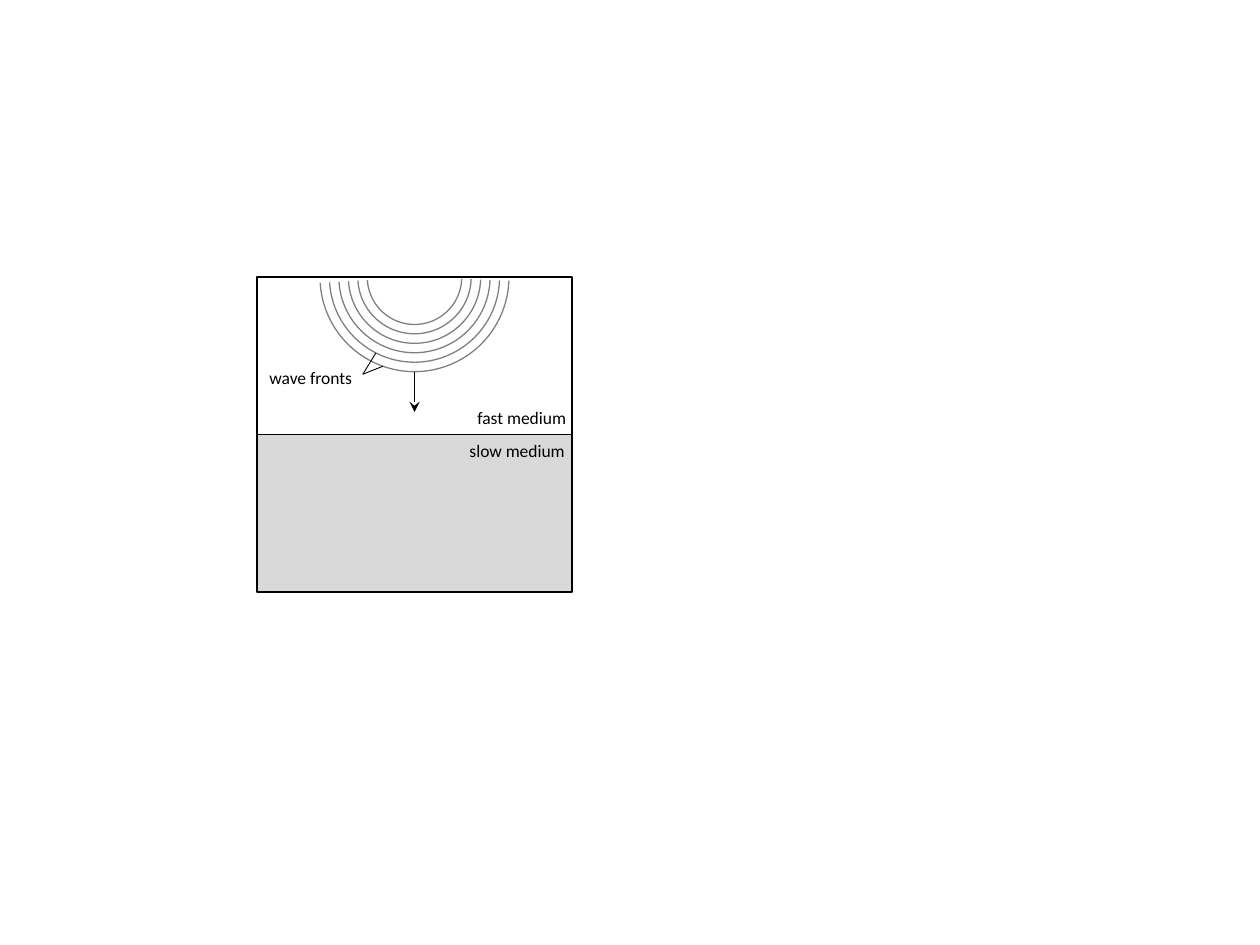
import math
from dataclasses import dataclass

import lxml.etree
import pptx
import pptx.dml.color
import pptx.enum.shapes
import pptx.enum.text
import pptx.oxml.ns
import pptx.util

Inches = pptx.util.Inches
SHAPES = pptx.enum.shapes.MSO_SHAPE
ALIGN = pptx.enum.text.PP_ALIGN


@dataclass(frozen=True)
class Theme:
    font: str = "Calibri"
    label_size: float = 10
    ink: str = "000000"
    wave: str = "808080"
    slow_fill: str = "D9D9D9"
    frame_width: float = 1
    wave_width: float = 0.75
    thin_width: float = 0.5


def rgb(code):
    return pptx.dml.color.RGBColor.from_string(code)


class Diagram:
    """Holds the theme and the slide being drawn."""

    def __init__(self, slide, theme):
        self.slide = slide
        self.theme = theme

    def outline(self, shape, color, width):
        shape.line.color.rgb = rgb(color)
        shape.line.width = pptx.util.Pt(width)

    def rectangle(self, left, top, width, height, fill=None, line=None):
        box = self.slide.shapes.add_shape(
            SHAPES.RECTANGLE, Inches(left), Inches(top), Inches(width), Inches(height))
        box.shadow.inherit = False
        if fill:
            box.fill.solid()
            box.fill.fore_color.rgb = rgb(fill)
        else:
            box.fill.background()
        if line:
            self.outline(box, line, self.theme.frame_width)
        else:
            box.line.fill.background()
        return box

    def wave_front(self, group, center_x, center_y, radius, start, end):
        """Draw an arc clockwise between two angles in degrees."""
        arc = group.shapes.add_shape(
            SHAPES.ARC, Inches(center_x - radius), Inches(center_y - radius),
            Inches(2 * radius), Inches(2 * radius))
        arc.shadow.inherit = False
        arc.fill.background()
        # Angles are stored in 60000ths of a degree, adjustments in 100000ths
        arc.adjustments[0] = start * 0.6
        arc.adjustments[1] = end * 0.6
        self.outline(arc, self.theme.wave, self.theme.wave_width)

    def line(self, start, end, width, arrow=False):
        connector = self.slide.shapes.add_connector(
            pptx.enum.shapes.MSO_CONNECTOR.STRAIGHT,
            *(Inches(value) for value in (*start, *end)))
        self.outline(connector, self.theme.ink, width)
        if arrow:
            lxml.etree.SubElement(connector.line._get_or_add_ln(),
                                  pptx.oxml.ns.qn("a:tailEnd"), type="stealth")
        lxml.etree.SubElement(connector._element.spPr, pptx.oxml.ns.qn("a:effectLst"))
        return connector

    def label(self, text, left, top, width, align=ALIGN.LEFT):
        box = self.slide.shapes.add_textbox(
            Inches(left), Inches(top), Inches(width), Inches(0.27))
        frame = box.text_frame
        frame.word_wrap = True
        frame.auto_size = pptx.enum.text.MSO_AUTO_SIZE.SHAPE_TO_FIT_TEXT
        para = frame.paragraphs[0]
        para.text = text
        para.alignment = align
        para.font.name = self.theme.font
        para.font.size = pptx.util.Pt(self.theme.label_size)
        para.font.color.rgb = rgb(self.theme.ink)


def main():
    deck = pptx.Presentation()
    deck.slide_width, deck.slide_height = Inches(10), Inches(7.5)
    theme = Theme()
    diagram = Diagram(deck.slides.add_slide(deck.slide_layouts[6]), theme)

    # Two media in a square frame
    left, top, side = 2.04, 2.2, 2.5
    center_x, boundary = left + side / 2, top + side / 2
    diagram.rectangle(left, boundary, side, side / 2, fill=theme.slow_fill)
    frame = diagram.rectangle(left, top, side, side, line=theme.ink)
    diagram.label("fast medium", 3.55, 3.18, 1.04, ALIGN.RIGHT)
    diagram.label("slow medium", 3.48, 3.44, 1.1, ALIGN.RIGHT)

    # Concentric wave fronts around the source
    inner_radius, spacing, count = 0.375, 0.075, 6
    radii = [inner_radius + spacing * step for step in range(count)]
    waves = diagram.slide.shapes.add_group_shape()
    for radius in radii:
        diagram.wave_front(waves, center_x, top, radius, 2.15, 176.53)

    # Direction of travel
    front = top + radii[-1]
    diagram.line((center_x, front), (center_x, front + 0.32), theme.wave_width, arrow=True)

    # Wave front label with pointers to two of the arcs
    diagram.label("wave fronts", left, 2.86, 0.88)
    for radius, angle in ((radii[-1], 109.5), (radii[-2], 117)):
        turn = math.radians(angle)
        target = (center_x + radius * math.cos(turn), top + radius * math.sin(turn))
        diagram.line(target, (2.88, 2.97), theme.thin_width)

    # Boundary between the media
    divider = diagram.line((left, boundary), (left + side, boundary), theme.thin_width)
    divider.begin_connect(frame, 1)
    divider.end_connect(frame, 3)

    deck.save("out.pptx")


if __name__ == "__main__":
    main()
